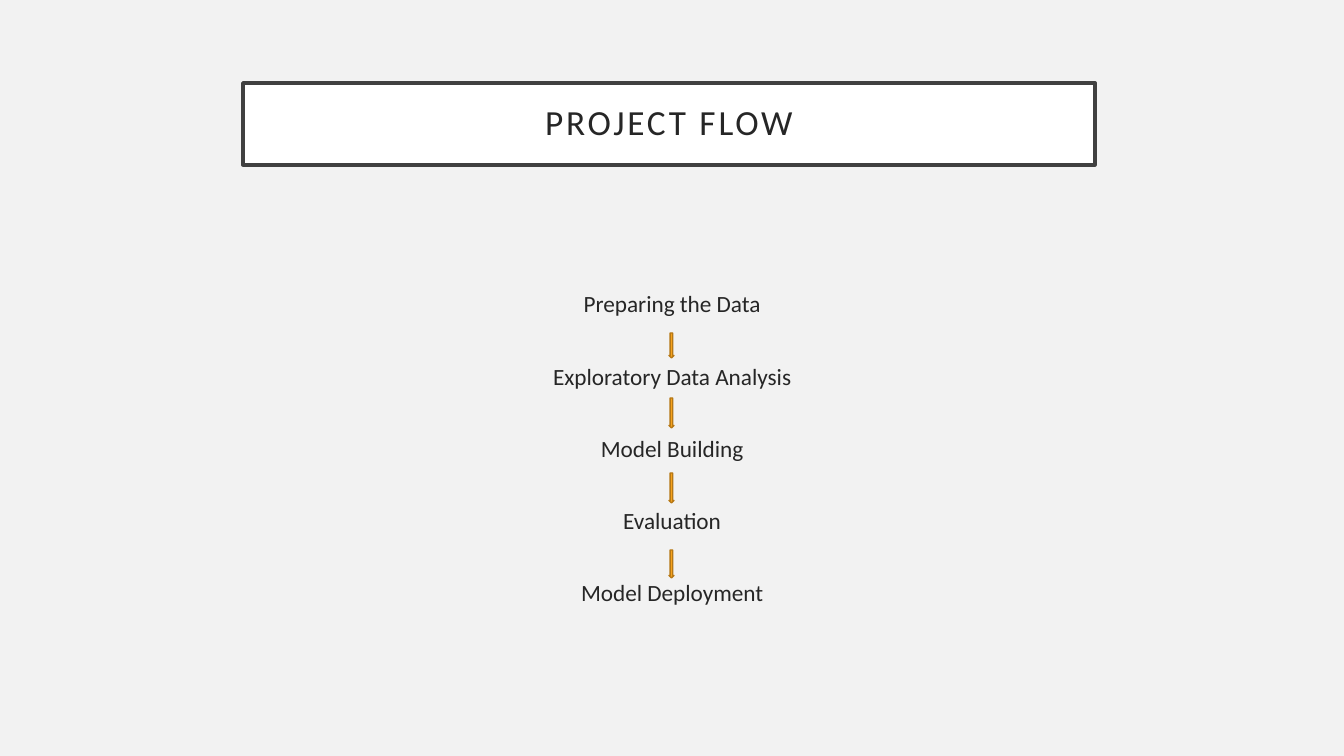
"""Build the project flow slide."""
import pptx
import pptx.dml.color
import pptx.enum.shapes
import pptx.enum.text
import pptx.util

PX = 12192000 / 1344
COLORS = {
    "background": "F2F2F2",
    "panel": "FFFFFF",
    "frame": "404040",
    "text": "262626",
    "arrow": "F6A21D",
    "arrow_edge": "B67815",
}
STAGES = [
    "Preparing the Data",
    "Exploratory Data Analysis",
    "Model Building",
    "Evaluation",
    "Model Deployment",
]
ARROW_SPANS = [(43, 25), (108, 30), (183, 30), (260, 28)]
ARROW_WIDTH = 5


def px(length):
    """Turn pixels into EMU."""
    return pptx.util.Emu(round(length * PX))


def color(name):
    """Look up a named colour."""
    return pptx.dml.color.RGBColor.from_string(COLORS[name])


def apply(target, values):
    """Set each attribute of the target from a dict."""
    for attribute, value in values.items():
        setattr(target, attribute, value)


def add_block(slide, preset, box, fill, edge, weight):
    """Add a filled and outlined preset shape."""
    block = slide.shapes.add_shape(preset, *map(px, box))
    block.shadow.inherit = False
    block.fill.solid()
    block.fill.fore_color.rgb = color(fill)
    block.line.color.rgb = color(edge)
    block.line.width = pptx.util.Pt(weight)
    return block


def write_line(paragraph, wording, size, spacing, before=0):
    """Write one centred line of text and return its run."""
    apply(paragraph, {
        "alignment": pptx.enum.text.PP_ALIGN.CENTER,
        "line_spacing": spacing,
        "space_before": pptx.util.Pt(before),
    })
    run = paragraph.add_run()
    run.text = wording
    apply(run.font, {"name": "Calibri", "size": pptx.util.Pt(size)})
    run.font.color.rgb = color("text")
    return run


def add_title(slide, box):
    """Draw the framed heading."""
    rectangle = pptx.enum.shapes.MSO_SHAPE.RECTANGLE
    heading = add_block(slide, rectangle, box, "panel", "frame", 2.5)
    apply(heading.text_frame, {
        "word_wrap": True,
        "vertical_anchor": pptx.enum.text.MSO_ANCHOR.MIDDLE,
        **{f"margin_{side}": px(20) for side in ("left", "top", "right", "bottom")},
    })
    run = write_line(heading.text_frame.paragraphs[0], "PROJECT FLOW", 25.2, 0.9)
    run.font._element.set("spc", "200")


def add_flow(slide, box):
    """Write the stages in a column with an arrow between each pair."""
    left, top, width, height = box
    frame = slide.shapes.add_textbox(*map(px, box)).text_frame
    frame.word_wrap = True
    for index, stage in enumerate(STAGES):
        paragraph = frame.add_paragraph() if index else frame.paragraphs[0]
        write_line(paragraph, stage, 16.6, 0.8, 35.7 if index else 0)
    arrow_left = left + (width - ARROW_WIDTH) // 2
    down_arrow = pptx.enum.shapes.MSO_SHAPE.DOWN_ARROW
    for offset, length in ARROW_SPANS:
        arrow_box = (arrow_left, top + offset, ARROW_WIDTH, length)
        add_block(slide, down_arrow, arrow_box, "arrow", "arrow_edge", 1)


def main():
    """Build and save the slide."""
    deck = pptx.Presentation()
    apply(deck, {"slide_width": px(1344), "slide_height": px(756)})
    slide = deck.slides.add_slide(deck.slide_layouts[6])
    slide.background.fill.solid()
    slide.background.fill.fore_color.rgb = color("background")
    add_title(slide, (243, 83, 852, 82))
    add_flow(slide, (246, 290, 852, 342))
    deck.save("out.pptx")


if __name__ == "__main__":
    main()
